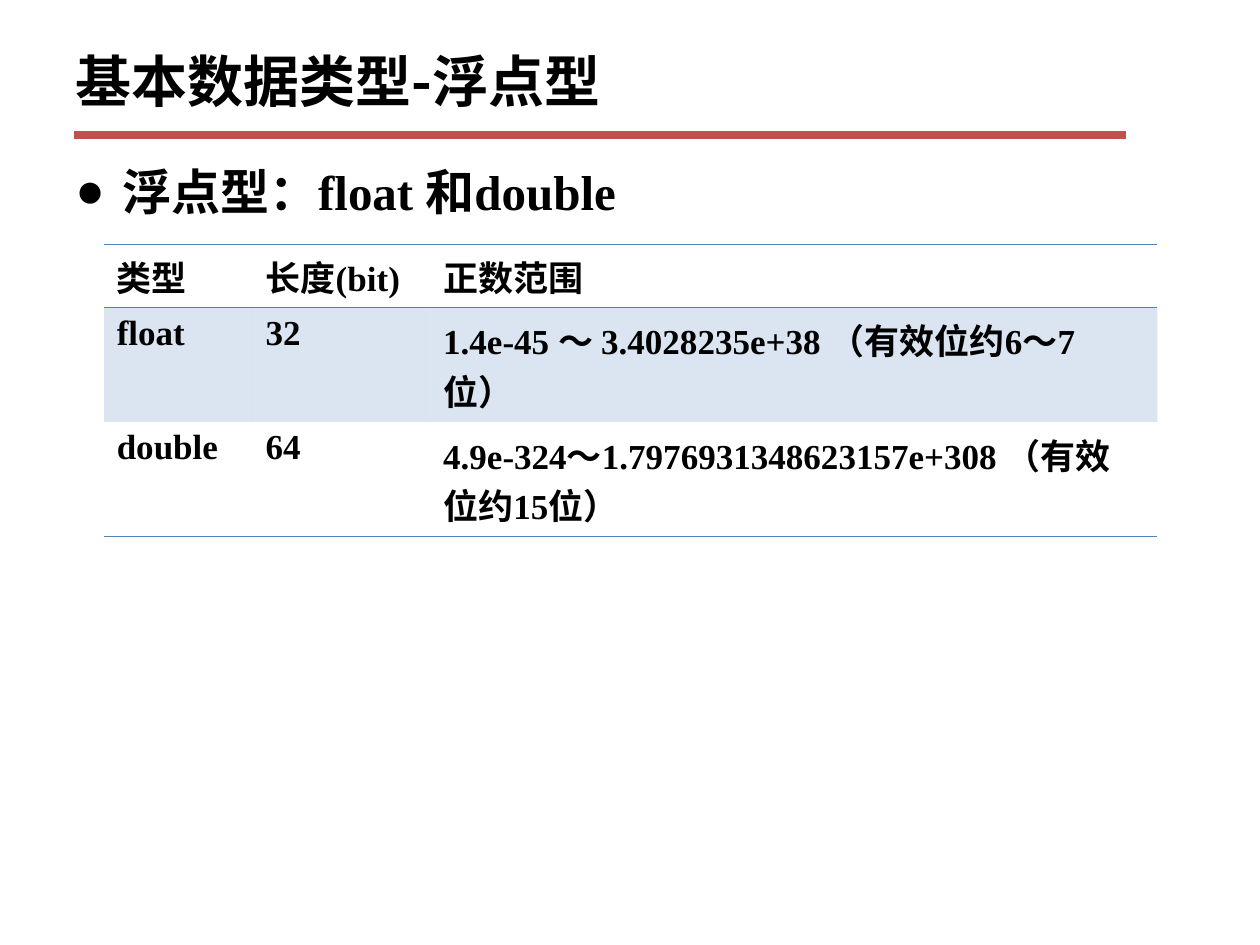
from lxml import etree
from pptx import Presentation
from pptx import util as u
from pptx.dml.color import RGBColor
from pptx.enum import shapes, text
from pptx.oxml.ns import qn

# Content
TITLE = "基本数据类型-浮点型"
TOPIC = "浮点型：float 和double"
FLOAT_TYPES = [
    ("类型", "长度(bit)", "正数范围"),
    ("float", "32", "1.4e-45 ～ 3.4028235e+38 （有效位约6～7位）"),
    ("double", "64", "4.9e-324～1.7976931348623157e+308 （有效位约15位）"),
]
COLUMN_WIDTHS = (3.0, 3.58, 14.65)
ROW_HEIGHTS = (1.27, 2.31, 2.31)
SHADED_ROW = 1
EDGES = ("lnL", "lnR", "lnT", "lnB")
RULED_EDGES = [("lnT", "lnB"), ("lnT",), ("lnB",)]  # per row

# Look
BLACK = RGBColor(0x00, 0x00, 0x00)
RED = RGBColor(0xC0, 0x50, 0x4D)
BLUE = RGBColor(0x4F, 0x81, 0xBD)
LATIN, CJK = "Times New Roman", "Noto Sans CJK SC"
NO_TABLE_STYLE = "{2D5ABB26-0587-4C30-8999-92F81FD0307C}"


def add(parent, tag, **attributes):
    return etree.SubElement(parent, qn(tag), attributes)


def write(frame, words, size, latin=LATIN):
    frame.text = words
    frame.word_wrap = True
    for run in frame.paragraphs[0].runs:
        run.font.size = u.Pt(size)
        run.font.bold = True
        run.font.color.rgb = BLACK
        run.font.name = latin
        add(run.font._element, "a:ea", typeface=CJK)
    return frame.paragraphs[0]


def add_text(slide, top, height, words, size, latin=LATIN):
    box = slide.shapes.add_textbox(u.Cm(1.27), u.Cm(top), u.Cm(22.86), u.Cm(height))
    return box.text_frame, write(box.text_frame, words, size, latin)


def add_bullet(paragraph):
    paragraph.space_before = u.Pt(6)
    props = paragraph._p.get_or_add_pPr()
    props.set("marL", str(u.Cm(0.95)))
    props.set("indent", str(-u.Cm(0.95)))
    add(add(props, "a:buClr"), "a:srgbClr", val=str(BLACK))
    add(props, "a:buFont", typeface=LATIN)
    add(props, "a:buChar", char="●")


def format_cell(cell, row):
    props = cell._tc.get_or_add_tcPr()
    for edge in EDGES:
        if edge in RULED_EDGES[row]:
            line = add(props, "a:" + edge, w=str(u.Pt(0.45)))
            add(add(line, "a:solidFill"), "a:srgbClr", val=str(BLUE))
        else:
            add(add(props, "a:" + edge, w="0"), "a:noFill")
    if row == SHADED_ROW:
        cell.fill.solid()
        cell.fill.fore_color.rgb = BLUE
        tint = props.find(qn("a:solidFill")).find(qn("a:srgbClr"))
        add(tint, "a:alpha", val="20000")
    else:
        cell.fill.background()


def add_type_table(slide):
    frame = slide.shapes.add_table(
        len(FLOAT_TYPES), len(COLUMN_WIDTHS), u.Cm(2.1), u.Cm(4.93),
        u.Cm(sum(COLUMN_WIDTHS)), u.Cm(sum(ROW_HEIGHTS)))
    table = frame.table
    table.first_row = table.horz_banding = False
    table._tbl.tblPr.find(qn("a:tableStyleId")).text = NO_TABLE_STYLE
    for column, width in zip(table.columns, COLUMN_WIDTHS):
        column.width = u.Cm(width)
    for row, height in zip(table.rows, ROW_HEIGHTS):
        row.height = u.Cm(height)
    for r, entries in enumerate(FLOAT_TYPES):
        for c, words in enumerate(entries):
            write(table.cell(r, c).text_frame, words, 20)
            format_cell(table.cell(r, c), r)


def main():
    deck = Presentation()
    deck.slide_width, deck.slide_height = u.Cm(25.4), u.Cm(19.05)
    slide = deck.slides.add_slide(deck.slide_layouts[6])

    # Rule under the title
    rule = slide.shapes.add_connector(
        shapes.MSO_CONNECTOR.STRAIGHT, u.Cm(1.5), u.Cm(2.72), u.Cm(22.7), u.Cm(2.72))
    rule.line.color.rgb = RED
    rule.line.width = u.Pt(4.5)
    add(rule._element.spPr, "a:effectLst")

    # Title and topic
    title_frame, _ = add_text(slide, 0.51, 2.21, TITLE, 32, CJK)
    title_frame.vertical_anchor = text.MSO_ANCHOR.MIDDLE
    _, topic = add_text(slide, 3.13, 14.81, TOPIC, 28)
    add_bullet(topic)

    # Table of floating-point types
    add_type_table(slide)
    deck.save("out.pptx")


if __name__ == "__main__":
    main()
